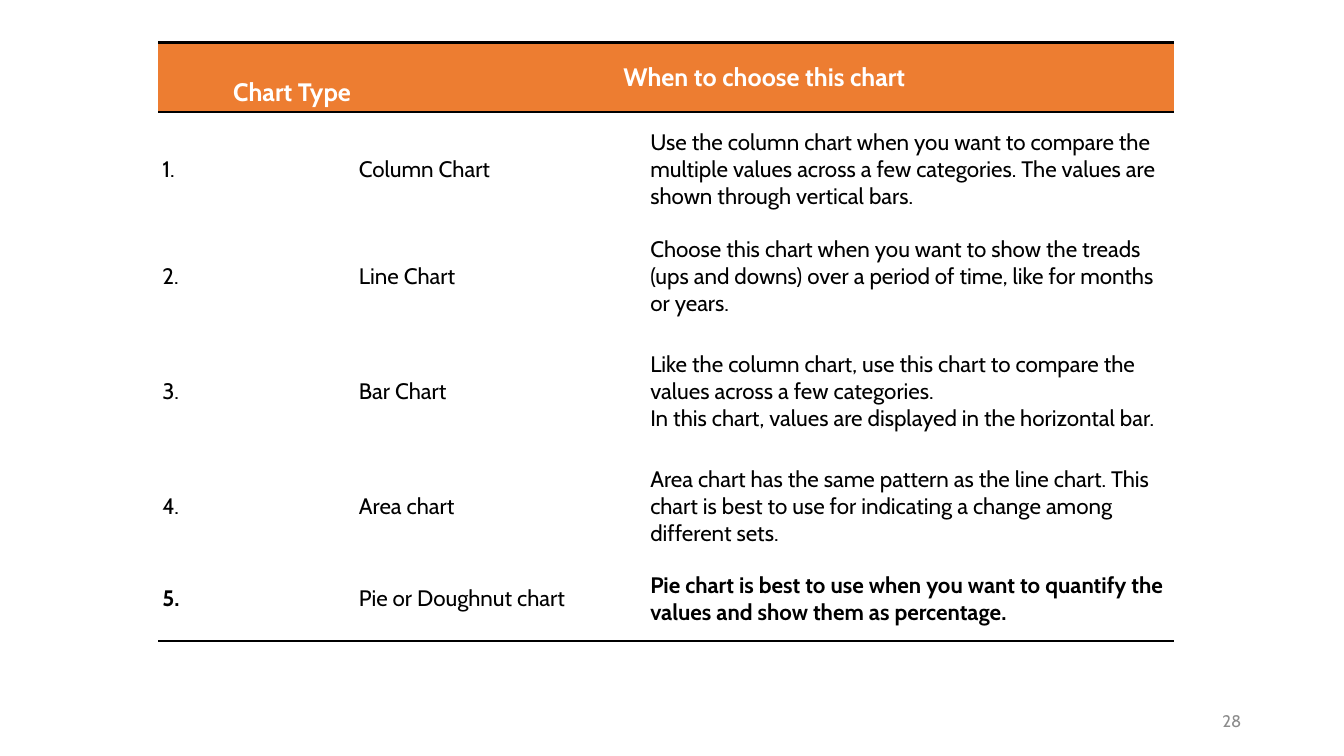
from lxml import etree
from pptx import Presentation
from pptx.dml.color import RGBColor
from pptx.enum import text
from pptx.oxml import ns
from pptx.util import Inches, Pt

ORANGE = RGBColor(0xED, 0x7D, 0x31)
WHITE = RGBColor(0xFF, 0xFF, 0xFF)
BLACK = RGBColor(0, 0, 0)
GRAY = RGBColor(0x8C, 0x8C, 0x8C)
FONT = "Cabin"
PLAIN_STYLE = "{2D5ABB26-0587-4C30-8999-92F81FD0307C}"

COLUMN_WIDTHS = [1.95, 2.89, 5.23]
ROW_HEIGHTS = [0.69, 1.14, 0.99, 1.29, 0.99, 0.84]
CHARTS = [
    ("Column Chart", "Use the column chart when you want to compare the multiple values "
     "across a few categories. The values are shown through vertical bars."),
    ("Line Chart", "Choose this chart when you want to show the treads (ups and downs) "
     "over a period of time, like for months or years."),
    ("Bar Chart", "Like the column chart, use this chart to compare the values across "
     "a few categories.\vIn this chart, values are displayed in the horizontal bar."),
    ("Area chart", "Area chart has the same pattern as the line chart. This chart is "
     "best to use for indicating a change among different sets."),
    ("Pie or Doughnut chart", "Pie chart is best to use when you want to quantify the "
     "values and show them as percentage."),
]


def write(frame, words, size, color, bold=False, align=text.PP_ALIGN.LEFT):
    """Put one formatted paragraph into a text frame."""
    frame.text = words
    paragraph = frame.paragraphs[0]
    paragraph.alignment = align
    for run in paragraph.runs:
        run.font.name = FONT
        run.font.size = Pt(size)
        run.font.bold = bold
        run.font.color.rgb = color


def rule_cell(cell, sides):
    """Draw black 2 pt borders on the given sides of a cell."""
    properties = cell._tc.get_or_add_tcPr()
    for side in sides:
        line = etree.SubElement(properties, ns.qn(f"a:ln{side}"), w=str(Pt(2)))
        solid = etree.SubElement(line, ns.qn("a:solidFill"))
        etree.SubElement(solid, ns.qn("a:srgbClr"), val=str(BLACK))


def style_cell(cell, fill, sides):
    """Set the borders, fill, margins and anchor of a cell."""
    rule_cell(cell, sides)
    cell.fill.solid()
    cell.fill.fore_color.rgb = fill
    cell.margin_left = cell.margin_right = Inches(0.04)
    cell.margin_top = cell.margin_bottom = Inches(0.04)
    cell.vertical_anchor = text.MSO_ANCHOR.MIDDLE


def add_chart_guide(slide, left, top, width, height):
    """Add the table that tells when to choose each chart type."""
    guide = slide.shapes.add_table(
        len(ROW_HEIGHTS), len(COLUMN_WIDTHS), left, top, width, height).table
    guide.horz_banding = guide.first_row = False
    guide._tbl.tblPr.find(ns.qn("a:tableStyleId")).text = PLAIN_STYLE
    for column, column_width in zip(guide.columns, COLUMN_WIDTHS):
        column.width = Inches(column_width)
    for row, row_height in zip(guide.rows, ROW_HEIGHTS):
        row.height = Inches(row_height)

    for cell in guide.rows[0].cells:
        style_cell(cell, ORANGE, "TB")
    chart_type, when = guide.cell(0, 0), guide.cell(0, 1)
    when.merge(guide.cell(0, 2))
    chart_type.vertical_anchor = text.MSO_ANCHOR.BOTTOM
    write(chart_type.text_frame, "Chart Type", 18, WHITE, True, text.PP_ALIGN.RIGHT)
    write(when.text_frame, "When to choose this chart", 18, WHITE, True, text.PP_ALIGN.CENTER)

    for number, (name, advice) in enumerate(CHARTS, 1):
        last = number == len(CHARTS)
        entries = [(f"{number}.", last), (name, False), (advice, last)]
        for cell, (words, bold) in zip(guide.rows[number].cells, entries):
            style_cell(cell, WHITE, "B" if last else "")
            write(cell.text_frame, words, 16, BLACK, bold)


def add_page_number(slide, left, top, width, height):
    """Add the page number, right-aligned in its box."""
    frame = slide.shapes.add_textbox(left, top, width, height).text_frame
    frame.word_wrap = True
    frame.vertical_anchor = text.MSO_ANCHOR.MIDDLE
    write(frame, "28", 12, GRAY, align=text.PP_ALIGN.RIGHT)


def main():
    """Build and save the slide."""
    deck = Presentation()
    deck.slide_width, deck.slide_height = Inches(13.33), Inches(7.5)
    slide = deck.slides.add_slide(deck.slide_layouts[6])
    add_chart_guide(slide, Inches(1.57), Inches(0.42),
                    Inches(sum(COLUMN_WIDTHS)), Inches(sum(ROW_HEIGHTS)))
    add_page_number(slide, Inches(8.83), Inches(6.95), Inches(3.58), Inches(0.4))
    deck.save("out.pptx")


if __name__ == "__main__":
    main()
